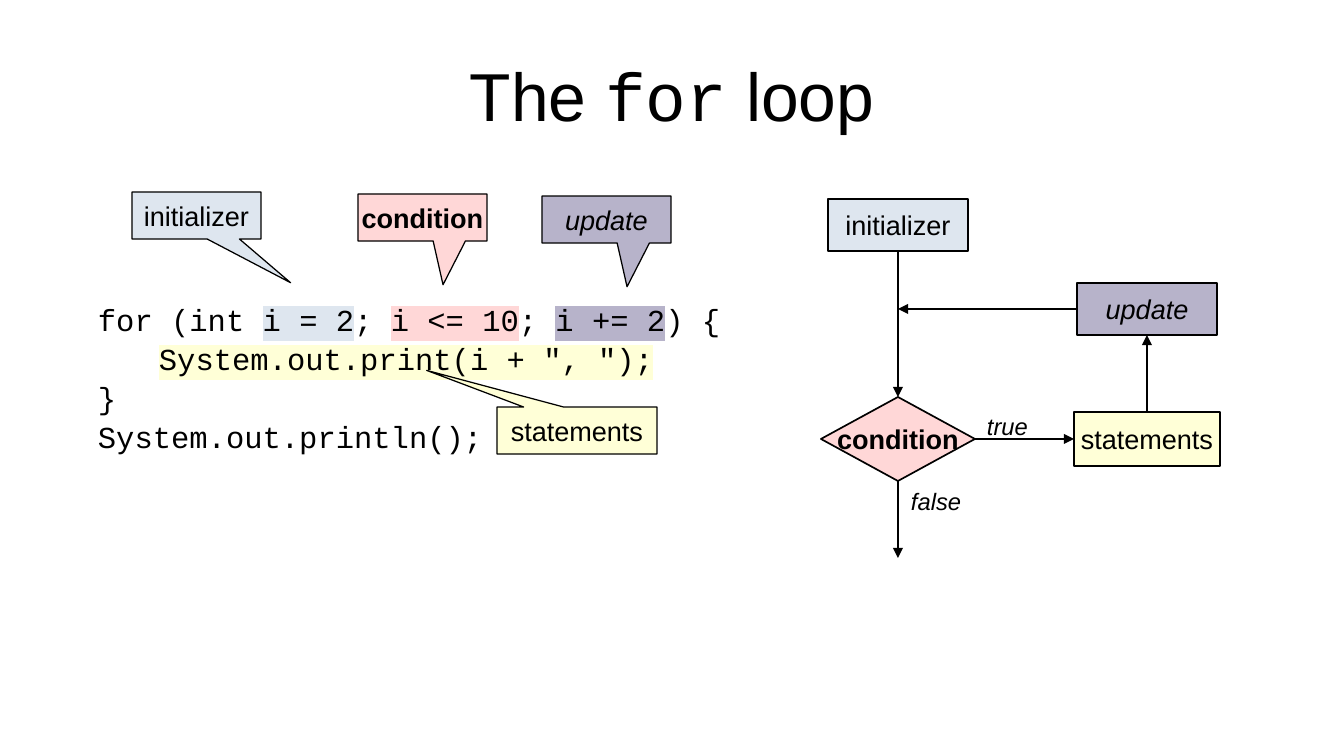
import pptx
import pptx.dml.color
import pptx.enum.dml
import pptx.enum.shapes
import pptx.enum.text
import pptx.oxml
import pptx.oxml.ns
import pptx.util

SHAPES = pptx.enum.shapes.MSO_SHAPE
CENTER = pptx.enum.text.PP_ALIGN.CENTER
MIDDLE = pptx.enum.text.MSO_ANCHOR.MIDDLE
TOP, LEFT, BOTTOM, RIGHT = range(4)
SANS, MONO = "Arial", "Courier New"
BLACK = "000000"
BLUE, PINK, PURPLE, YELLOW = "DEE6EF", "FFD7D7", "B7B3CA", "FFFFD7"


def px(length):
    return pptx.util.Emu(round(length * 914400 / 122))


def color(value):
    return pptx.dml.color.RGBColor.from_string(value)


def set_values(target, values):
    for name, value in values.items():
        setattr(target, name, value)


def xml(text):
    return pptx.oxml.parse_xml(text.replace("/>", f" {pptx.oxml.ns.nsdecls('a')}/>", 1)
                               if text.endswith("/>") and text.count("<") == 1
                               else text.replace(">", f" {pptx.oxml.ns.nsdecls('a')}>", 1))


class Diagram:
    """Draws styled text, boxes and arrows on the current slide."""

    def __init__(self, slide):
        self.slide = slide

    def run(self, paragraph, text, size, font=SANS, highlight=None, **style):
        run = paragraph.add_run()
        run.text = text
        set_values(run.font, {"size": pptx.util.Pt(size), "name": font, **style})
        run.font.color.rgb = color(BLACK)
        if highlight:
            mark = xml(f'<a:highlight><a:srgbClr val="{highlight}"/></a:highlight>')
            run.font.fill._xPr.find(pptx.oxml.ns.qn("a:solidFill")).addnext(mark)

    def text(self, bounds, lines, size, margins=(12, 6), align=None, anchor=None, spacing=0):
        frame = self.slide.shapes.add_textbox(*map(px, bounds)).text_frame
        side, edge = map(px, margins)
        set_values(frame, {"word_wrap": True, "vertical_anchor": anchor,
                           "margin_left": side, "margin_right": side,
                           "margin_top": edge, "margin_bottom": edge})
        for index, line in enumerate(lines):
            paragraph = frame.add_paragraph() if index else frame.paragraphs[0]
            set_values(paragraph, {"alignment": align,
                                   "space_before": pptx.util.Pt(spacing)})
            for words, style in line:
                self.run(paragraph, words, size, **style)

    def box(self, kind, bounds, part, line_width=1, tip=()):
        label, fill, style = part
        shape = self.slide.shapes.add_shape(kind, *map(px, bounds))
        for index, offset in enumerate(tip):
            shape.adjustments[index] = offset
        shape.shadow.inherit = False
        shape.fill.solid()
        shape.fill.fore_color.rgb = color(fill)
        shape.line.color.rgb = color(BLACK)
        shape.line.width = pptx.util.Pt(line_width)
        set_values(shape.text_frame, {"word_wrap": False, "vertical_anchor": MIDDLE})
        paragraph = shape.text_frame.paragraphs[0]
        paragraph.alignment = CENTER
        self.run(paragraph, label, 16, **style)
        return shape

    def arrow(self, start, site, end, end_site=None):
        """Joins a box side to another box side, or to an (x, y) point."""
        point = (0, 0) if end_site is not None else end
        arrow = self.slide.shapes.add_connector(
            pptx.enum.shapes.MSO_CONNECTOR.STRAIGHT, 0, 0, *map(px, point))
        arrow.begin_connect(start, site)
        if end_site is not None:
            arrow.end_connect(end, end_site)
        arrow.line.color.rgb = color(BLACK)
        arrow.line.width = pptx.util.Pt(1)
        arrow.line._get_or_add_ln().append(xml('<a:tailEnd type="triangle"/>'))
        arrow._element.spPr.append(xml("<a:effectLst/>"))


def main():
    deck = pptx.Presentation()
    set_values(deck, {"slide_width": px(1344), "slide_height": px(756)})
    diagram = Diagram(deck.slides.add_slide(deck.slide_layouts[6]))

    initializer = ("initializer", BLUE, {})
    condition = ("condition", PINK, {"bold": True})
    update = ("update", PURPLE, {"italic": True})
    statements = ("statements", YELLOW, {})

    diagram.text((67, 31, 1210, 127),
                 [[("The ", {}), ("for", {"font": MONO}), (" loop", {})]],
                 40, margins=(0, 0), align=CENTER, anchor=MIDDLE)

    code = [
        [("for (int ", None), ("i = 2", BLUE), ("; ", None), ("i <= 10", PINK),
         ("; ", None), ("i += 2", PURPLE), (") {", None)],
        [("\t", None), ('System.out.print(i + ", ");', YELLOW)],
        [("}", None)],
        [("System.out.println();", None)],
    ]
    diagram.text((86, 295, 647, 150),
                 [[(words, {"font": MONO, "highlight": mark}) for words, mark in line]
                  for line in code], 18, spacing=1.5)

    callouts = [
        ((132, 192, 129, 47), initializer, (0.73, 1.43)),
        ((358, 194, 129, 47), condition, (0.16, 1.43)),
        ((542, 196, 129, 47), update, (0.16, 1.43)),
        ((497, 407, 160, 47), statements, (-0.94, -1.28)),
    ]
    for bounds, part, tip in callouts:
        diagram.box(SHAPES.RECTANGULAR_CALLOUT, bounds, part, 0.75, tip)

    process = SHAPES.FLOWCHART_PROCESS
    start = diagram.box(process, (828, 199, 140, 52), initializer)
    test = diagram.box(SHAPES.FLOWCHART_DECISION, (821, 397, 154, 84), condition)
    body = diagram.box(process, (1074, 412, 146, 54), statements)
    step = diagram.box(process, (1077, 283, 140, 52), update)
    diagram.arrow(start, BOTTOM, test, TOP)
    diagram.arrow(test, RIGHT, body, LEFT)
    diagram.arrow(body, TOP, step, BOTTOM)
    diagram.arrow(step, LEFT, (898, 309))
    diagram.arrow(test, BOTTOM, (898, 558))

    for word, bounds in (("true", (975, 406, 66, 39)), ("false", (899, 481, 76, 39))):
        diagram.text(bounds, [[(word, {"italic": True})]], 14)

    deck.save("out.pptx")


if __name__ == "__main__":
    main()
